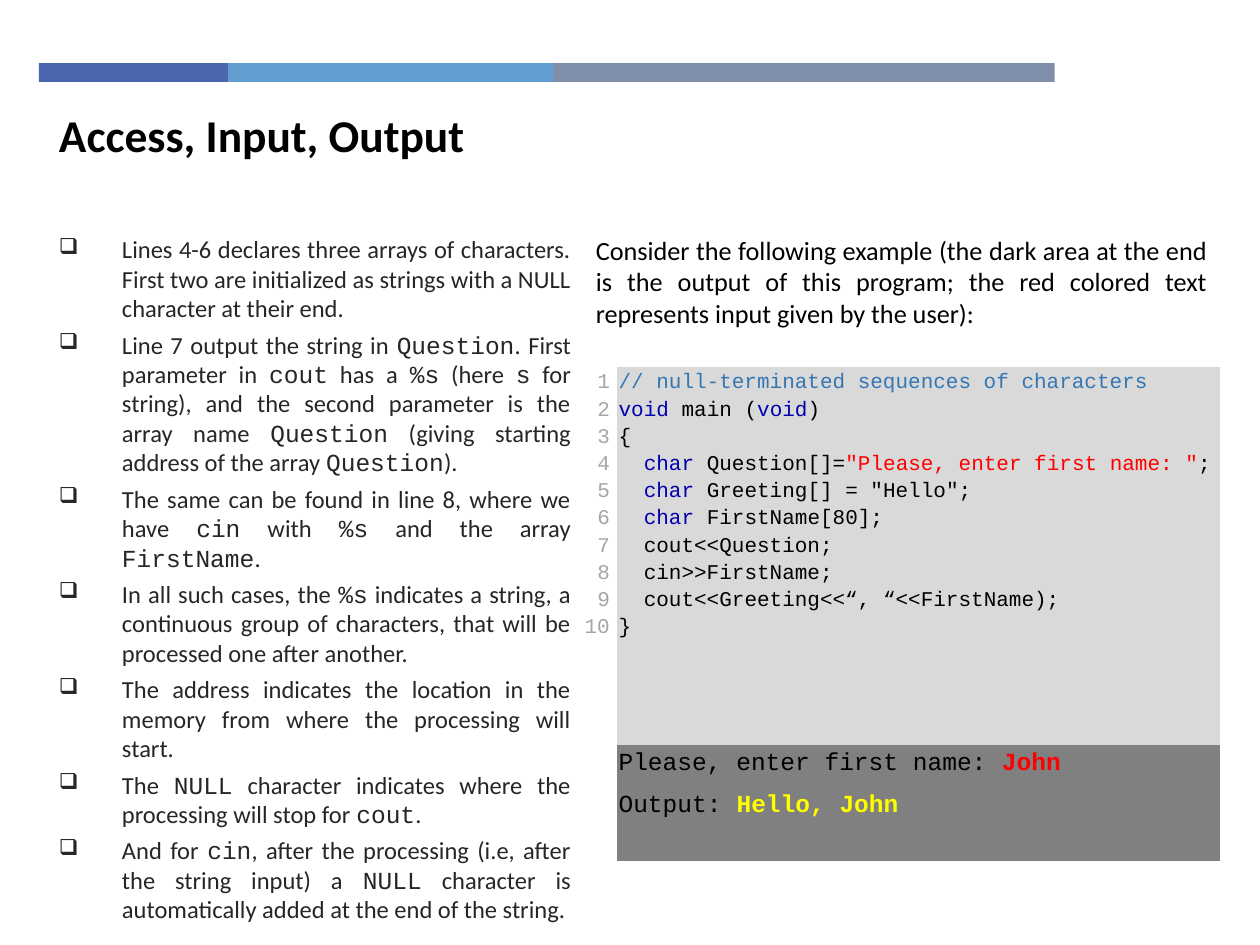
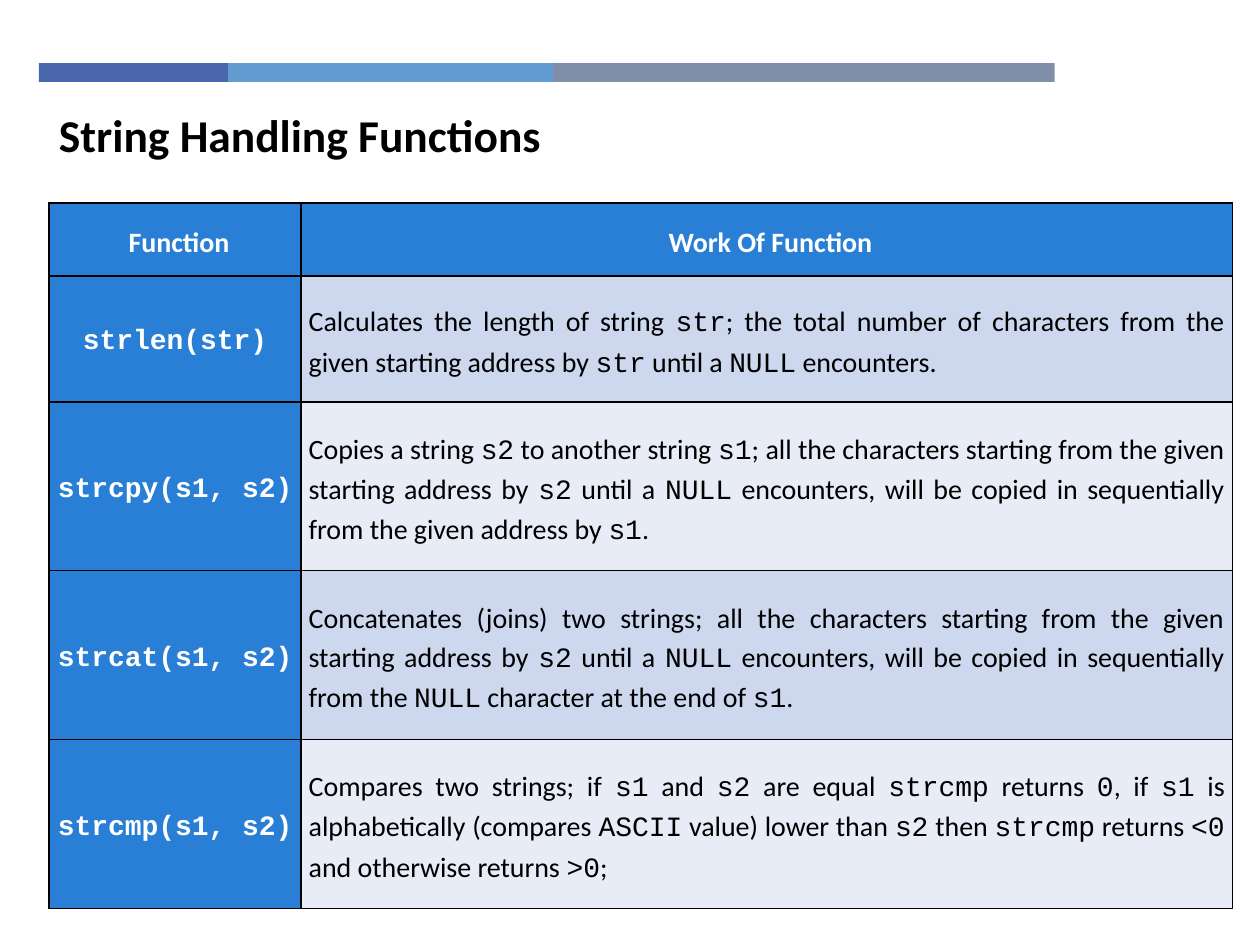
from dataclasses import dataclass
from typing import NamedTuple

from lxml.etree import SubElement
from pptx import Presentation
from pptx.dml.color import RGBColor
from pptx.enum.shapes import MSO_SHAPE
from pptx.enum.text import MSO_ANCHOR, PP_ALIGN
from pptx.oxml.ns import qn
from pptx.util import Inches, Pt

COLORS = {
    "band_blue": "4A66AC", "band_sky": "629DD1", "band_grey": "7F8FA9",
    "black": "000000", "white": "FFFFFF", "body": "262626",
    "line_number": "A6A6A6", "comment": "3477B2", "keyword": "0000B0",
    "red": "FF0000", "yellow": "FFFF00",
    "code_bg": "D9D9D9", "output_bg": "808080",
    "header": "297FD5", "row_dark": "CDD8EF", "row_light": "E8ECF7",
}
PROSE, CODE = "Calibri", "Courier New"
NO_TABLE_STYLE = "{2D5ABB26-0587-4C30-8999-92F81FD0307C}"
JUSTIFIED = {"alignment": PP_ALIGN.JUSTIFY}
TABLE_LINE = {"line_spacing": 1.15}


class Run(NamedTuple):
    text: str
    color: str = "black"
    font: str = CODE
    bold: bool = False


class Band(NamedTuple):
    width: float
    color: str


class CodeLine(NamedTuple):
    runs: list[Run]
    indented: bool = False


class StringFunction(NamedTuple):
    call: str
    work: str


@dataclass
class Box:
    left: float
    top: float
    width: float
    height: float

    def lengths(self) -> list[int]:
        return [Inches(v) for v in (self.left, self.top, self.width, self.height)]


BANDS = [Band(1.5, "band_blue"), Band(2.58, "band_sky"), Band(3.98, "band_grey")]
TITLE_BOX = Box(0.37, 0.8, 7.16, 0.54)

NOTES = [
    "Lines 4-6 declares three arrays of characters. First two are initialized "
    "as strings with a NULL character at their end.",
    "Line 7 output the string in `Question`. First parameter in `cout` has a `%s` "
    "(here `s` for string), and the second parameter is the array name `Question` "
    "(giving starting address of the array `Question`).",
    "The same can be found in line 8, where we have `cin` with `%s` and the array "
    "`FirstName`.",
    "In all such cases, the `%s` indicates a string, a continuous group of "
    "characters, that will be processed one after another.",
    "The address indicates the location in the memory from where the processing "
    "will start.",
    "The `NULL` character indicates where the processing will stop for `cout`.",
    "And for `cin`, after the processing (i.e, after the string input) a `NULL` "
    "character is automatically added at the end of the string.",
]
EXAMPLE_INTRO = (
    "Consider the following example (the dark area at the end is the output of this "
    "program; the red colored text represents input given by the user):"
)
CHAR = Run("char ", "keyword")
PROGRAM = [
    CodeLine([Run("// null-terminated sequences of characters", "comment")]),
    CodeLine([Run("void", "keyword"), Run(" main ("), Run("void", "keyword"), Run(")")]),
    CodeLine([Run("{")]),
    CodeLine([CHAR, Run("Question[]="), Run('"Please, enter first name: "', "red"),
              Run(";")], True),
    CodeLine([CHAR, Run('Greeting[] = "Hello";')], True),
    CodeLine([CHAR, Run("FirstName[80];")], True),
    CodeLine([Run("cout<<Question;")], True),
    CodeLine([Run("cin>>FirstName;")], True),
    CodeLine([Run("cout<<Greeting<<“, “<<FirstName);")], True),
    CodeLine([Run("}")]),
]
OUTPUT = [
    [Run("Please, enter first name: "), Run("John", "red", bold=True)],
    [Run("Output: "), Run("Hello, John", "yellow", bold=True)],
]
FUNCTIONS = [
    StringFunction(
        "strlen(str)",
        "Calculates the length of string `str`; the total number of characters from "
        "the given starting address by `str` until a `NULL` encounters."),
    StringFunction(
        "strcpy(s1, s2)",
        "Copies a string `s2` to another string `s1`; all the characters starting "
        "from the given starting address by `s2` until a `NULL` encounters, will be "
        "copied in sequentially from the given address by `s1`."),
    StringFunction(
        "strcat(s1, s2)",
        "Concatenates (joins) two strings; all the characters starting from the given "
        "starting address by `s2` until a `NULL` encounters, will be copied in "
        "sequentially from the `NULL` character at the end of `s1`."),
    StringFunction(
        "strcmp(s1, s2)",
        "Compares two strings; if `s1` and `s2` are equal `strcmp` returns `0`, if "
        "`s1` is alphabetically (compares `ASCII` value) lower than `s2` then "
        "`strcmp` returns `<0` and otherwise returns `>0`;"),
]


def rgb(name: str) -> RGBColor:
    return RGBColor.from_string(COLORS[name])


def set_all(target, values: dict) -> None:
    for name, value in values.items():
        setattr(target, name, value)


def prose(text: str, color: str = "black") -> list[Run]:
    """Split text at backticks; the pieces between a pair take the code font."""
    return [Run(part, color, CODE if i % 2 else PROSE)
            for i, part in enumerate(text.split("`")) if part]


def write(tf, paragraphs: list[list[Run]], size: float, fmt: dict) -> None:
    tf.word_wrap = True
    for i, runs in enumerate(paragraphs):
        p = tf.add_paragraph() if i else tf.paragraphs[0]
        set_all(p, fmt)
        for run in runs:
            r = p.add_run()
            r.text = run.text
            set_all(r.font, {"name": run.font, "size": Pt(size), "bold": run.bold})
            r.font.color.rgb = rgb(run.color)


def add_text(s, box: Box, paragraphs: list[list[Run]], size: float, fmt: dict):
    tf = s.shapes.add_textbox(*box.lengths()).text_frame
    write(tf, paragraphs, size, fmt)
    return tf


def add_bullet(p) -> None:
    pPr = p._p.get_or_add_pPr()
    pPr.set("marL", str(Inches(0.5)))
    pPr.set("indent", str(-Inches(0.5)))
    SubElement(pPr, qn("a:buSzPct"), val="90000")
    SubElement(pPr, qn("a:buChar"), char="❑")


def add_plain_table(s, box: Box, widths: list[float], heights: list[float]):
    """Add a table without style, sized by column widths and row heights."""
    table = s.shapes.add_table(len(heights), len(widths), *box.lengths()).table
    set_all(table, {"first_row": False, "horz_banding": False})
    table._tbl.tblPr.find(qn("a:tableStyleId")).text = NO_TABLE_STYLE
    for column, width in zip(table.columns, widths):
        column.width = Inches(width)
    for row, height in zip(table.rows, heights):
        row.height = Inches(height)
    return table


def set_margins(cell, left: float, top: float, right: float, bottom: float) -> None:
    set_all(cell, {"margin_left": Inches(left), "margin_top": Inches(top),
                   "margin_right": Inches(right), "margin_bottom": Inches(bottom)})


def fill_cell(cell, color: str) -> None:
    cell.fill.solid()
    cell.fill.fore_color.rgb = rgb(color)


def add_borders(cell) -> None:
    tcPr = cell._tc.get_or_add_tcPr()
    for side in ("lnL", "lnR", "lnT", "lnB"):
        ln = SubElement(tcPr, qn(f"a:{side}"), w=str(Pt(1)))
        SubElement(SubElement(ln, qn("a:solidFill")), qn("a:srgbClr"),
                   val=COLORS["black"])


def add_titled_slide(prs, title: str):
    s = prs.slides.add_slide(prs.slide_layouts[6])
    left = 0.31
    for band in BANDS:
        sp = s.shapes.add_shape(MSO_SHAPE.RECTANGLE,
                                *Box(left, 0.5, band.width, 0.15).lengths())
        sp.shadow.inherit = False
        sp.fill.solid()
        sp.fill.fore_color.rgb = rgb(band.color)
        sp.line.fill.background()
        left += band.width
    add_text(s, TITLE_BOX, [[Run(title, font=PROSE, bold=True)]], 26, {})
    return s


def build_access_slide(prs) -> None:
    s = add_titled_slide(prs, "Access, Input, Output")
    tf = add_text(s, Box(0.37, 1.81, 4.26, 5.69), [prose(n, "body") for n in NOTES], 14,
                  JUSTIFIED | {"space_before": Pt(2), "space_after": Pt(2)})
    for p in tf.paragraphs:
        add_bullet(p)

    table = add_plain_table(s, Box(4.63, 2.91, 5.05, 3.92), [0.27, 4.78], [3, 0.92])
    numbers, code = table.rows[0].cells
    blank, output = table.rows[1].cells
    for cell in (numbers, code, blank, output):
        set_margins(cell, 0.01, 0.01, 0.06 if cell is numbers else 0.01, 0.01)
    write(numbers.text_frame,
          [[Run(str(n), "line_number")] for n in range(1, len(PROGRAM) + 1)], 12,
          TABLE_LINE | {"alignment": PP_ALIGN.RIGHT})
    write(code.text_frame, [line.runs for line in PROGRAM], 12, TABLE_LINE)
    for p, line in zip(code.text_frame.paragraphs, PROGRAM):
        if line.indented:
            p._p.get_or_add_pPr().set("marL", str(Inches(0.2)))
    write(output.text_frame, OUTPUT, 14, TABLE_LINE)
    set_all(output.text_frame.paragraphs[1],
            {"space_before": Pt(6), "space_after": Pt(6)})
    fill_cell(code, "code_bg")
    fill_cell(output, "output_bg")

    add_text(s, Box(4.63, 1.81, 5.05, 0.86), [prose(EXAMPLE_INTRO)], 15, JUSTIFIED)


def build_functions_slide(prs) -> None:
    s = add_titled_slide(prs, "String Handling Functions")
    heights = [0.58, 1, 1.34, 1.34, 1.34]
    table = add_plain_table(s, Box(0.39, 1.61, 9.39, 5.6), [2, 7.39], heights)
    centred = TABLE_LINE | {"alignment": PP_ALIGN.CENTER}

    def add_cell(row: int, col: int, runs: list[Run], fmt: dict, color: str) -> None:
        cell = table.cell(row, col)
        cell.vertical_anchor = MSO_ANCHOR.MIDDLE
        set_margins(cell, *((0.06, 0.02, 0.06, 0) if row else (0.06, 0.03, 0, 0.02)))
        write(cell.text_frame, [runs], 16, fmt)
        add_borders(cell)
        fill_cell(cell, color)

    for col, heading in enumerate(["Function", "Work Of Function"]):
        add_cell(0, col, [Run(heading, "white", PROSE, True)], centred, "header")
    for row, function in enumerate(FUNCTIONS, 1):
        add_cell(row, 0, [Run(function.call, "white", bold=True)], centred, "header")
        add_cell(row, 1, prose(function.work), TABLE_LINE | JUSTIFIED,
                 "row_dark" if row % 2 else "row_light")


def main() -> None:
    prs = Presentation()
    set_all(prs, {"slide_width": Inches(10), "slide_height": Inches(7.5)})
    build_access_slide(prs)
    build_functions_slide(prs)
    prs.save("out.pptx")


if __name__ == "__main__":
    main()
